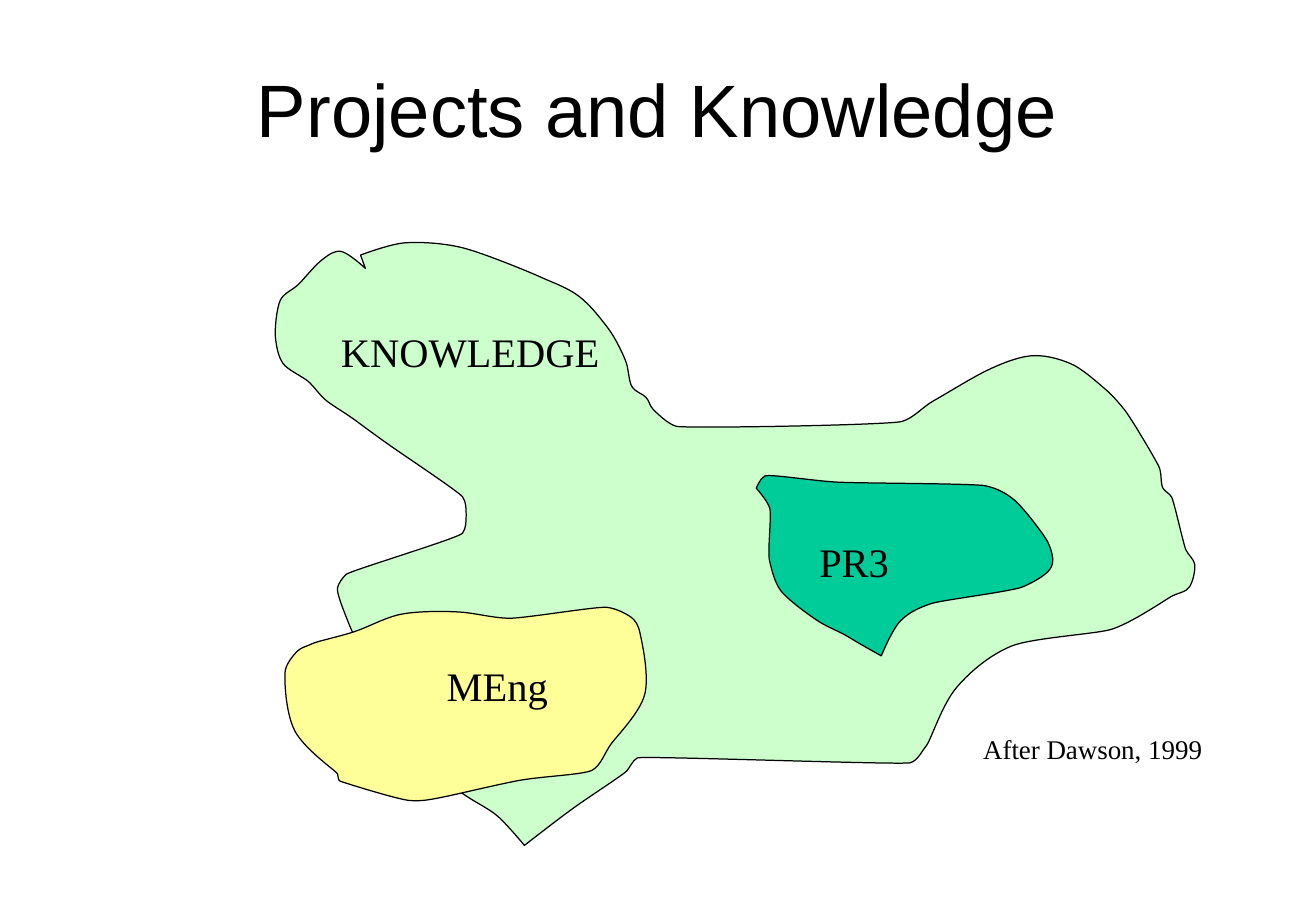
import pptx
import pptx.util
import pptx.dml.color
import pptx.enum.text
import pptx.oxml.ns

Pt = pptx.util.Pt
RGB = pptx.dml.color.RGBColor.from_string
TEXT = pptx.enum.text

COLORS = {"knowledge": "CCFFCC", "meng": "FFFF99", "pr3": "00CC99", "ink": "000000"}
GRID = Pt(0.72)

regions = {
    "knowledge": [
        (297, 210), (333, 200), (381, 204), (445, 228), (477, 244), (500, 269), (516, 299),
        (521, 319), (532, 327), (538, 337), (557, 351), (743, 347), (769, 330), (811, 306),
        (849, 293), (881, 299), (910, 320), (926, 337), (955, 385), (958, 402), (965, 409),
        (977, 453), (984, 464), (980, 483), (965, 491), (949, 501), (916, 518), (833, 532),
        (788, 566), (763, 614), (750, 628), (525, 624), (516, 635), (477, 662), (432, 696),
        (410, 672), (378, 651), (333, 600), (288, 515), (278, 484), (285, 473), (381, 439),
        (384, 424), (381, 409), (323, 368), (294, 347), (269, 330), (255, 315), (233, 299),
        (227, 279), (231, 247), (246, 234), (264, 215), (281, 207), (301, 221),
    ],
    "meng": [
        (420, 509), (380, 504), (329, 506), (292, 520), (257, 530), (245, 536), (235, 552),
        (243, 602), (278, 637), (280, 643), (337, 659), (366, 656), (425, 643), (488, 634),
        (503, 613), (531, 572), (528, 525), (522, 510), (500, 500),
    ],
    "pr3": [
        (630, 392), (690, 397), (812, 400), (836, 412), (863, 446), (866, 467), (843, 483),
        (767, 497), (742, 511), (726, 540), (700, 525), (675, 512), (643, 486), (634, 462),
        (634, 418), (623, 402),
    ],
}


def handle(before, corner, after):
    arriving, leaving = corner - before, after - corner
    direction = arriving / abs(arriving) + leaving / abs(leaving)
    if abs(direction) < 1.7:
        return 0
    return direction / abs(direction) * min(abs(arriving), abs(leaving)) / 3


deck = pptx.Presentation()
deck.slide_width, deck.slide_height = Pt(780.48), Pt(540)
slide = deck.slides.add_slide(deck.slide_layouts[6])

for region_name, corners in regions.items():
    knots = [complex(*corner) for corner in corners]
    following = knots[1:] + knots[:1]
    handles = [handle(*trio) for trio in zip(knots[-1:] + knots[:-1], knots, following)]
    curve_points = []
    for knot, target, leaving, arriving in zip(
        knots, following, handles, handles[1:] + handles[:1]
    ):
        curve_points += [knot + leaving, target - arriving, target]

    builder = slide.shapes.build_freeform(*corners[0], scale=GRID)
    builder.add_line_segments([(point.real, point.imag) for point in curve_points], close=True)
    region = builder.convert_to_shape()
    region.shadow.inherit = False
    region.fill.solid()
    region.fill.fore_color.rgb = RGB(COLORS[region_name])
    region.line.color.rgb = RGB(COLORS["ink"])
    region.line.width = Pt(0.75)

    outline = region._element.xpath(".//a:path")[0]
    steps = outline.xpath("a:lnTo")
    for curve, second, end in zip(steps[::3], steps[1::3], steps[2::3]):
        curve.tag = pptx.oxml.ns.qn("a:cubicBezTo")
        for step in (second, end):
            curve.append(step[0])
            outline.remove(step)

label_frame = {"word_wrap": True, "auto_size": TEXT.MSO_AUTO_SIZE.SHAPE_TO_FIT_TEXT}
title_frame = {"word_wrap": True, "vertical_anchor": TEXT.MSO_ANCHOR.MIDDLE}
title_paragraph = {"line_spacing": 0.93, "alignment": TEXT.PP_ALIGN.CENTER}
note_paragraph = {"line_spacing": 0.95}
region_paragraph = {"line_spacing": 0.95, "space_before": Pt(15)}
title_font = {"name": "Arial", "size": Pt(44)}
region_font = {"name": "Times New Roman", "size": Pt(24)}
credit_font = {"name": "Times New Roman", "size": Pt(16)}

captions = [
    ("Projects and Knowledge", (38.9, 29.5, 702, 74.2), title_frame, title_paragraph, title_font),
    ("MEng", (257.8, 390.2, 136.8, 34.6), label_frame, region_paragraph, region_font),
    ("PR3", (478.8, 316.8, 128.2, 34.6), label_frame, region_paragraph, region_font),
    ("KNOWLEDGE", (195.1, 192.2, 167.8, 34.6), {**label_frame, "word_wrap": False},
     note_paragraph, region_font),
    ("After Dawson, 1999", (576, 432, 149.8, 25.9), label_frame, note_paragraph, credit_font),
]

for wording, place, frame_format, paragraph_format, font_format in captions:
    frame = slide.shapes.add_textbox(*map(Pt, place)).text_frame
    paragraph = frame.paragraphs[0]
    run = paragraph.add_run()
    run.text = wording
    run.font.color.rgb = RGB(COLORS["ink"])
    for target, values in (
        (frame, frame_format), (paragraph, paragraph_format), (run.font, font_format)
    ):
        for attribute, value in values.items():
            setattr(target, attribute, value)

deck.save("out.pptx")
